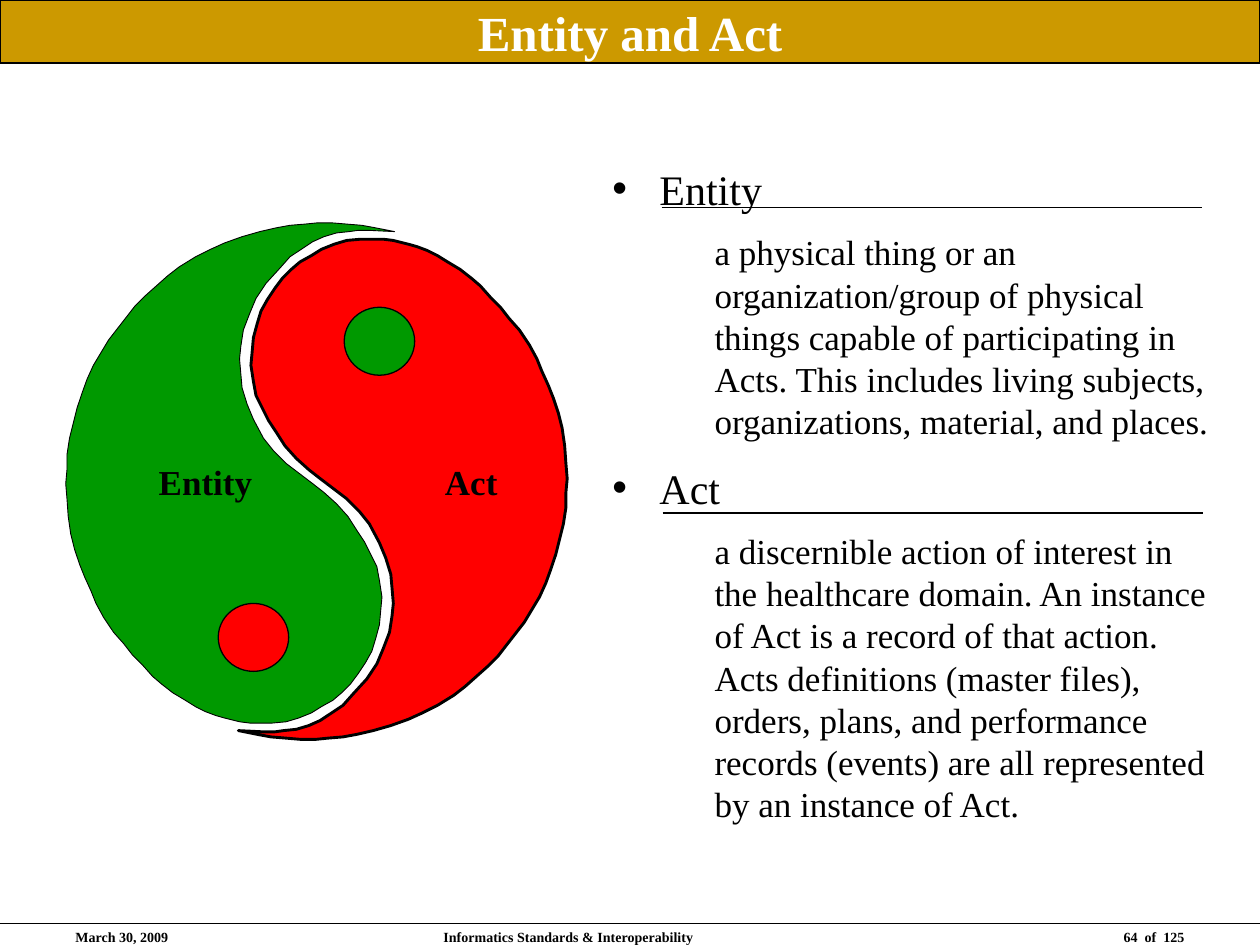
from lxml import etree
from pptx import Presentation
from pptx.dml.color import RGBColor
from pptx.enum.shapes import MSO_CONNECTOR, MSO_SHAPE
from pptx.enum.text import MSO_ANCHOR, MSO_AUTO_SIZE, PP_ALIGN
from pptx.oxml.ns import qn
from pptx.util import Cm, Pt

STRAIGHT = MSO_CONNECTOR.STRAIGHT
OVAL = MSO_SHAPE.OVAL
TOP, MIDDLE = MSO_ANCHOR.TOP, MSO_ANCHOR.MIDDLE
NO_FIT = MSO_AUTO_SIZE.NONE
LEFT, CENTER, RIGHT = PP_ALIGN.LEFT, PP_ALIGN.CENTER, PP_ALIGN.RIGHT

FONT = "Times New Roman"
BLACK, WHITE, GOLD = "000000", "FFFFFF", "CC9900"
RED, GREEN = "FF0000", "009900"

# Offsets from the wheel's centre, in hundredths of an inch
LOBE = [
    (-16, -18), (-6, -9), (3, -2), (24, 14), (34, 24), (42, 34), (50, 49),
    (55, 61), (59, 74), (60, 85), (61, 97), (60, 107), (58, 120), (53, 133),
    (48, 145), (40, 157), (29, 169), (21, 178), (12, 184), (3, 190),
    (-6, 194), (-16, 197), (-26, 198), (-33, 199), (-42, 199), (-62, 198),
    (-47, 201), (-36, 203), (-24, 204), (-12, 205), (-1, 205), (9, 204),
    (21, 203), (32, 201), (45, 198), (59, 194), (73, 189), (84, 184),
    (96, 178), (109, 170), (118, 163), (127, 155), (136, 147), (144, 139),
    (151, 130), (158, 121), (165, 112), (171, 102), (177, 92), (182, 81),
    (186, 70), (190, 58), (193, 46), (196, 34), (198, 21), (198, 9),
    (199, -2), (198, -14), (197, -28), (195, -42), (192, -54), (188, -66),
    (184, -76), (179, -87), (175, -97), (169, -108), (161, -120),
    (153, -129), (146, -138), (138, -146), (130, -155), (123, -161),
    (114, -168), (104, -174), (96, -179), (88, -183), (80, -186),
    (73, -188), (61, -191), (53, -192), (44, -192), (35, -192), (24, -191),
    (14, -188), (4, -184), (-4, -179), (-13, -174), (-20, -168),
    (-27, -161), (-33, -153), (-39, -144), (-44, -135), (-47, -125),
    (-50, -114), (-51, -103), (-52, -92), (-50, -79), (-48, -68),
    (-43, -58), (-38, -48), (-32, -39), (-25, -28),
]
LOBE_UNIT = Cm(0.0254)

DEFINITIONS = [
    ("Entity",
     "a physical thing or an organization/group of physical things capable of "
     "participating in Acts. This includes living subjects, organizations, "
     "material, and places."),
    ("Act",
     "a discernible action of interest in the healthcare domain. An instance of "
     "Act is a record of that action. Acts definitions (master files), orders, "
     "plans, and performance records (events) are all represented by an "
     "instance of Act."),
]


def color(value):
    return RGBColor.from_string(value)


def place(shape, left, top, width, height):
    shape.left, shape.top = Cm(left), Cm(top)
    shape.width, shape.height = Cm(width), Cm(height)


def paint(shape, fill, weight=0.75):
    shape.fill.solid()
    shape.fill.fore_color.rgb = color(fill)
    shape.line.color.rgb = color(BLACK)
    shape.line.width = Pt(weight)
    shape.shadow.inherit = False


def write(para, text, size, bold=False, ink=BLACK, align=LEFT):
    para.alignment = align
    span = para.add_run()
    span.text = text
    span.font.name = FONT
    span.font.size = Pt(size)
    span.font.bold = bold
    span.font.color.rgb = color(ink)


def add_label(page, box, text, size, align=LEFT, anchor=TOP, wrap=True):
    frame = page.shapes.add_textbox(*map(Cm, box)).text_frame
    frame.word_wrap = wrap
    frame.vertical_anchor = anchor
    write(frame.paragraphs[0], text, size, bold=True, align=align)


def add_rule(page, left, top, width):
    rule = page.shapes.add_connector(
        STRAIGHT, Cm(left), Cm(top), Cm(left + width), Cm(top))
    rule.line.color.rgb = color(BLACK)
    rule.line.width = Pt(0.75)
    etree.SubElement(rule._element.spPr, qn("a:effectLst"))


def fill_title(page, box, text):
    title = page.shapes.title
    place(title, *box)
    paint(title, GOLD)
    frame = title.text_frame
    frame.auto_size = NO_FIT
    frame.vertical_anchor = MIDDLE
    write(frame.paragraphs[0], text, 28, bold=True, ink=WHITE, align=CENTER)


def format_item(para, level, margin, indent, space, bullet=None):
    para.level = level
    para.space_before = Pt(space)
    props = para._p.get_or_add_pPr()
    props.set("marL", str(Cm(margin)))
    props.set("indent", str(Cm(indent)))
    if bullet:
        etree.SubElement(props, qn("a:buChar")).set("char", bullet)
    else:
        etree.SubElement(props, qn("a:buNone"))


def fill_definitions(page, box, definitions):
    body = page.placeholders[1]
    place(body, *box)
    frame = body.text_frame
    frame.auto_size = NO_FIT
    frame.vertical_anchor = MIDDLE
    for index, (term, meaning) in enumerate(definitions):
        heading = frame.add_paragraph() if index else frame.paragraphs[0]
        format_item(heading, 0, 0.95, -0.95, 12 if index else 0, "•")
        write(heading, term, 24)
        detail = frame.add_paragraph()
        format_item(detail, 1, 2.06, 0, 10)
        write(detail, meaning, 20)
    left, top = box[:2]
    for x, y in [(1.25, 2.28), (1.27, 8.43)]:
        add_rule(page, left + x, top + y, 10.9)


def add_lobe(page, center, turn, fill, weight):
    points = [(turn * x, turn * y) for x, y in LOBE]
    builder = page.shapes.build_freeform(*points[0], scale=LOBE_UNIT)
    builder.add_line_segments(points[1:], close=True)
    paint(builder.convert_to_shape(*map(Cm, center)), fill, weight)


def add_wheel(page, center):
    x, y = center
    add_lobe(page, center, 1, RED, 1.63)
    add_lobe(page, center, -1, GREEN, 0.5)
    width, height = 1.42, 1.37
    for across, down, fill in [(-1.27, 3.15, RED), (1.27, -2.82, GREEN)]:
        box = (x + across - width / 2, y + down - height / 2, width, height)
        paint(page.shapes.add_shape(OVAL, *map(Cm, box)), fill)
    for across, span_width, text in [(-3.43, 2.39, "Entity"), (2.34, 1.57, "Act")]:
        add_label(page, (x + across, y - 0.53, span_width, 1.09), text, 20,
                  anchor=MIDDLE, wrap=False)


def add_footer(page, box):
    left, top, width, height = box
    add_rule(page, left, top + 0.03, width)
    for x, part_width, text, align in [
        (1.27, 5.92, "March 30, 2009", LEFT),
        (8.69, 8.05, "Informatics Standards & Interoperability", LEFT),
        (18.21, 5.92, "64  of  125", RIGHT),
    ]:
        add_label(page, (left + x, top, part_width, height), text, 8, align)


def main():
    deck = Presentation()
    deck.slide_width, deck.slide_height = Cm(25.4), Cm(19.05)
    page = deck.slides.add_slide(deck.slide_layouts[1])
    add_footer(page, (0, 18.59, 25.4, 0.43))
    add_wheel(page, (6.38, 9.7))
    fill_title(page, (0, 0, 25.4, 1.27), "Entity and Act")
    fill_definitions(page, (12.09, 1.91, 12.67, 16.08), DEFINITIONS)
    deck.save("out.pptx")


if __name__ == "__main__":
    main()
